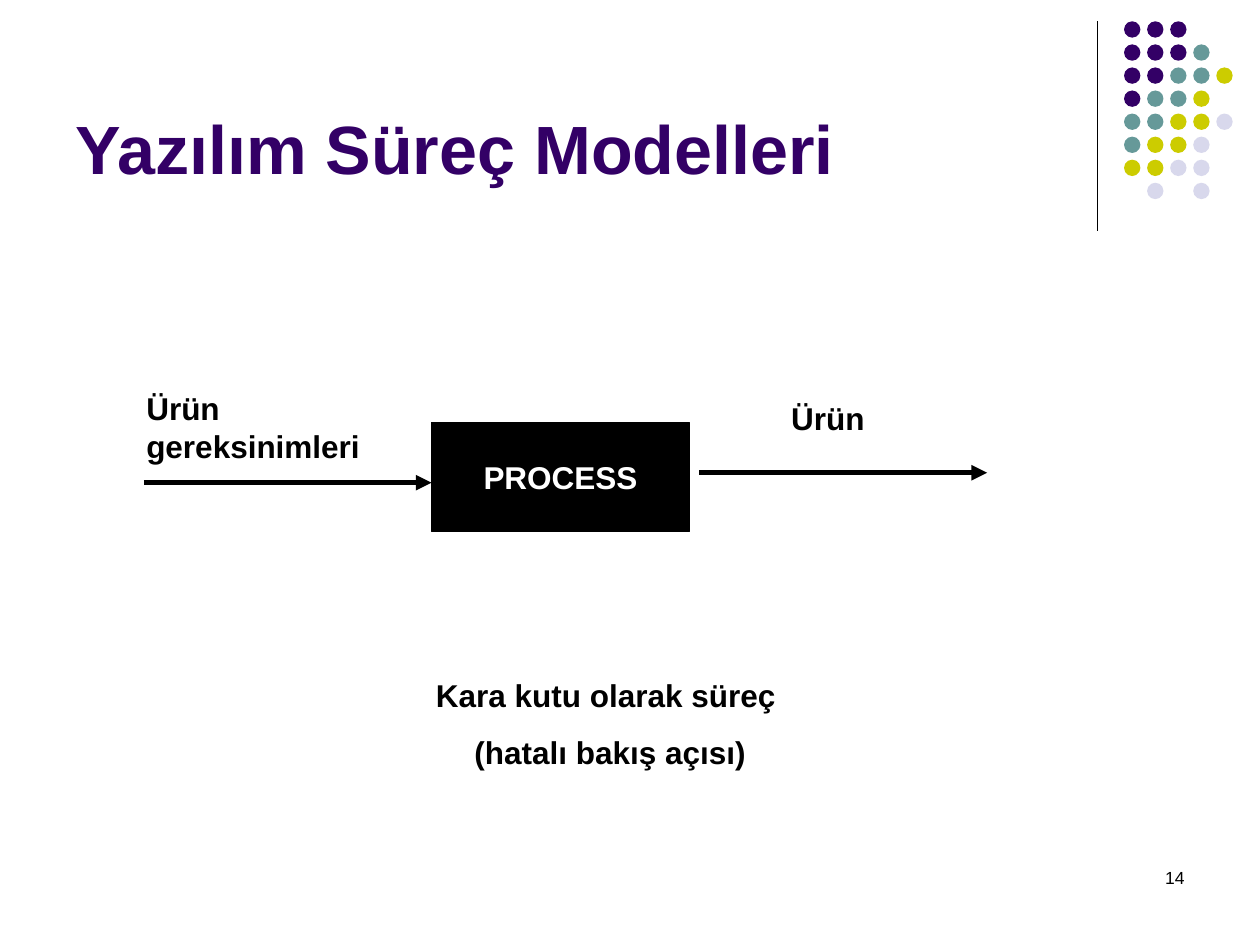
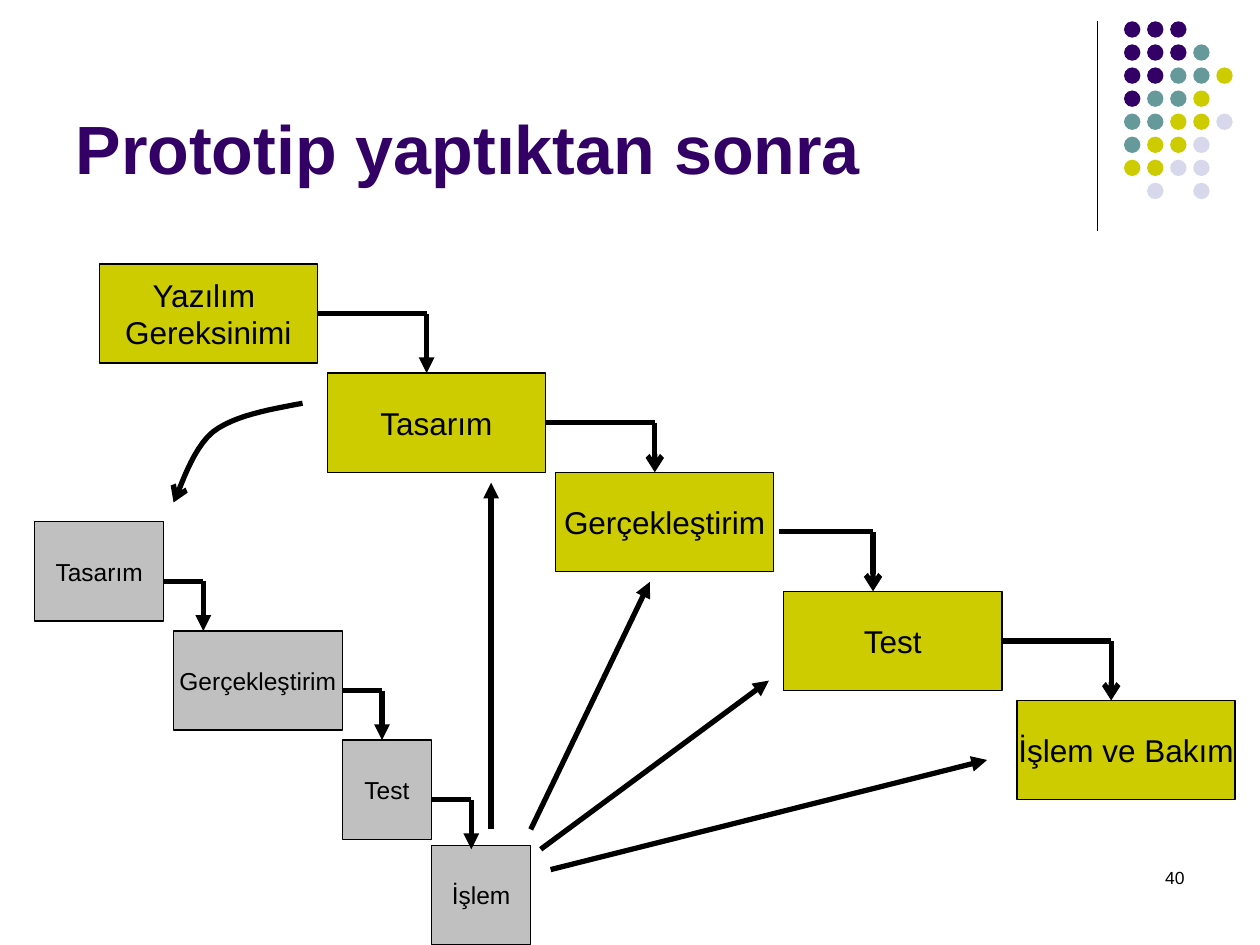
from lxml.etree import SubElement
from pptx import Presentation
from pptx.dml.color import RGBColor
from pptx.enum.shapes import MSO_CONNECTOR, MSO_SHAPE
from pptx.enum.text import MSO_ANCHOR, MSO_AUTO_SIZE, PP_ALIGN
from pptx.oxml.ns import qn
from pptx.util import Cm, Pt

FONT = "Arial"
COLORS = {
    "ink": "000000", "paper": "FFFFFF", "violet": "330066", "teal": "669999",
    "olive": "CCCC00", "mist": "D8D8EC", "gray": "C0C0C0",
}

# Dot grid in the corner: one letter per dot, a space leaves a hole
DOTS = ["vvv", "vvvt", "vvtto", "vtto", "ttoom", "toom", "oomm", " m m"]
HUES = {"v": "violet", "t": "teal", "o": "olive", "m": "mist"}
DOT_LEFT, DOT_TOP, DOT_SIZE = 22.66, 0.43, 0.33
DOT_STEP = 1.86 / 4

BLACK_BOX = {
    "title": "Yazılım Süreç Modelleri",
    "number": "14",
    "box": ("PROCESS", 8.7, 8.52, 5.2, 2.2),
    "arrows": [((2.9, 9.73), (8.7, 9.73)), ((14.1, 9.53), (19.9, 9.53))],
    # lines of text, place, alignment
    "labels": [
        (["Ürün gereksinimleri"], (2.7, 7.72, 5.4, 1.78), PP_ALIGN.LEFT),
        (["Ürün"], (15.7, 7.92, 3, 1.02), PP_ALIGN.LEFT),
        (["Kara kutu olarak süreç ", "(hatalı bakış açısı)"],
         (5.1, 13.5, 14.4, 2.2), PP_ALIGN.CENTER),
    ],
}

GRAY_TURN = (0, 1.2, 0.8, 1, "triangle")
PROTOTYPE = {
    "title": "Prototip yaptıktan sonra",
    "number": "40",
    # fill, text size, stages: lines, left, top, width and turn to the next one
    # a turn is: gap after the box, depth below its top, reach, drop, head
    "flows": [
        ("olive", 18, [
            (["Yazılım ", "Gereksinimi"], 2, 5.32, 4.4, (0, 1, 2.2, 1.2, "triangle")),
            (["Tasarım"], 6.6, 7.52, 4.4, (0, 1, 2.2, 1, "arrow")),
            (["Gerçekleştirim"], 11.2, 9.52, 4.4, (0.1, 1.2, 1.9, 1.2, "arrow")),
            (["Test"], 15.8, 11.92, 4.4, (0, 1, 2.2, 1.2, "arrow")),
            (["İşlem ve Bakım"], 20.5, 14.12, 4.4, None),
        ]),
        ("gray", 14, [
            (["Tasarım"], 0.7, 10.52, 2.6, GRAY_TURN),
            (["Gerçekleştirim"], 3.5, 12.72, 3.4, GRAY_TURN),
            (["Test"], 6.9, 14.92, 1.8, GRAY_TURN),
            (["İşlem"], 8.7, 17.04, 2, None),
        ]),
    ],
    "arrows": [
        ((9.9, 16.72), (9.9, 9.73)),
        ((10.7, 16.72), (13.1, 11.73)),
        ((10.9, 17.12), (15.5, 13.72)),
        ((11.1, 17.53), (19.9, 15.32)),
    ],
    "curve": [
        ((6.1, 8.13), (5.41, 8.26), (4.72, 8.38), (4.29, 8.71)),
        ((4.29, 8.71), (3.86, 9.07), (3.63, 9.88), (3.5, 10.13)),
    ],
}
STAGE_HIGH = 2


def rgb(name):
    return RGBColor.from_string(COLORS[name])


def cms(*sizes):
    return [Cm(size) for size in sizes]


def write(frame, lines, size, color="ink", bold=False, align=PP_ALIGN.LEFT, before=0):
    for i, line in enumerate(lines):
        para = frame.paragraphs[0] if i == 0 else frame.add_paragraph()
        para.alignment = align
        para.space_before = Pt(before)
        run = para.add_run()
        run.text = line
        font = run.font
        font.name, font.size, font.bold = FONT, Pt(size), bold
        font.color.rgb = rgb(color)


def stroke(shape, width, head=None):
    """Give the shape a black line, with an arrowhead if named."""
    shape.line.color.rgb = rgb("ink")
    shape.line.width = Pt(width)
    if head:
        SubElement(shape.element.spPr.find(qn("a:ln")), qn("a:tailEnd"), type=head)


def link(slide, start, end, head=None, width=3):
    line = slide.shapes.add_connector(MSO_CONNECTOR.STRAIGHT, *cms(*start, *end))
    stroke(line, width, head)
    SubElement(line.element.spPr, qn("a:effectLst"))
    return line


def add_box(slide, lines, place, fill, size, color="ink", bold=False):
    box = slide.shapes.add_shape(MSO_SHAPE.RECTANGLE, *cms(*place))
    box.shadow.inherit = False
    box.fill.solid()
    box.fill.fore_color.rgb = rgb(fill)
    stroke(box, 0.75)
    frame = box.text_frame
    frame.word_wrap = False
    frame.vertical_anchor = MSO_ANCHOR.MIDDLE
    write(frame, lines, size, color, bold, PP_ALIGN.CENTER)
    return box


def add_text(slide, lines, place, size, **style):
    frame = slide.shapes.add_textbox(*cms(*place)).text_frame
    frame.word_wrap = True
    write(frame, lines, size, **style)


def add_turn(slide, box, left, top, width, turn):
    """Lead from the right of a box across, then down to the next box."""
    gap, depth, reach, drop, head = turn
    right, level = left + width, top + depth
    bend = (right + reach, level)
    if gap:
        bend = (right + gap + reach, level)
    line = link(slide, (right + gap, level), bend)
    if gap == 0 and depth == STAGE_HIGH / 2:
        line.begin_connect(box, 3)
    link(slide, bend, (bend[0], level + drop), head)


def add_curve(slide, parts, head, steps=12):
    """Trace joined cubic curves with short straight pieces."""
    points = [parts[0][0]]
    for a, b, c, d in parts:
        for i in range(1, steps + 1):
            t = i / steps
            u = 1 - t
            points.append([u**3 * p + 3 * u * u * t * q + 3 * u * t * t * r + t**3 * s
                           for p, q, r, s in zip(a, b, c, d)])
    points = [cms(*point) for point in points]
    pen = slide.shapes.build_freeform(*points[0])
    pen.add_line_segments(points[1:], close=False)
    curve = pen.convert_to_shape()
    curve.shadow.inherit = False
    curve.fill.background()
    stroke(curve, 3, head)


def dress(layout, slide):
    """Build the rule and dots on the slide, then hand them to its layout."""
    title = layout.placeholders[0]
    title.left, title.top, title.width, title.height = cms(1.27, 0.33, 20.95, 3.6)
    rule = link(slide, (22.12, 0.43), (22.12, 4.65), width=0.75)
    group = slide.shapes.add_group_shape()
    for row, marks in enumerate(DOTS):
        for col, mark in enumerate(marks):
            if mark == " ":
                continue
            dot = group.shapes.add_shape(MSO_SHAPE.OVAL, *cms(
                DOT_LEFT + col * DOT_STEP, DOT_TOP + row * DOT_STEP, DOT_SIZE, DOT_SIZE))
            dot.shadow.inherit = False
            dot.fill.solid()
            dot.fill.fore_color.rgb = rgb(HUES[mark])
            dot.line.fill.background()
    for part in (rule, group):
        layout.element.cSld.spTree.append(part.element)


def start(deck, layout, data):
    """Add a slide with its title and number."""
    slide = deck.slides.add_slide(layout)
    frame = slide.shapes.title.text_frame
    frame.auto_size = MSO_AUTO_SIZE.NONE
    frame.vertical_anchor = MSO_ANCHOR.BOTTOM
    write(frame, [data["title"]], 39, "violet", bold=True)
    add_text(slide, [data["number"]], (18.2, 17.35, 5.93, 1.27), 10, align=PP_ALIGN.RIGHT)
    return slide


def draw_black(slide, data):
    text, *place = data["box"]
    add_box(slide, [text], place, "ink", 18, "paper", bold=True)
    for tail, tip in data["arrows"]:
        link(slide, tail, tip, "triangle")
    for lines, place, align in data["labels"]:
        add_text(slide, lines, place, 18, bold=True, align=align, before=11.2)


def draw_proto(slide, data):
    for fill, size, stages in data["flows"]:
        boxes = [add_box(slide, lines, (left, top, width, STAGE_HIGH), fill, size)
                 for lines, left, top, width, turn in stages]
        for box, (lines, left, top, width, turn) in zip(boxes, stages):
            if turn:
                add_turn(slide, box, left, top, width, turn)
    add_curve(slide, data["curve"], "arrow")
    for tail, tip in data["arrows"]:
        link(slide, tail, tip, "triangle")


def main():
    deck = Presentation()
    deck.slide_width, deck.slide_height = cms(25.4, 19.05)
    layout = deck.slide_layouts[5]
    first = start(deck, layout, BLACK_BOX)
    dress(layout, first)
    draw_black(first, BLACK_BOX)
    draw_proto(start(deck, layout, PROTOTYPE), PROTOTYPE)
    deck.save("out.pptx")


if __name__ == "__main__":
    main()
